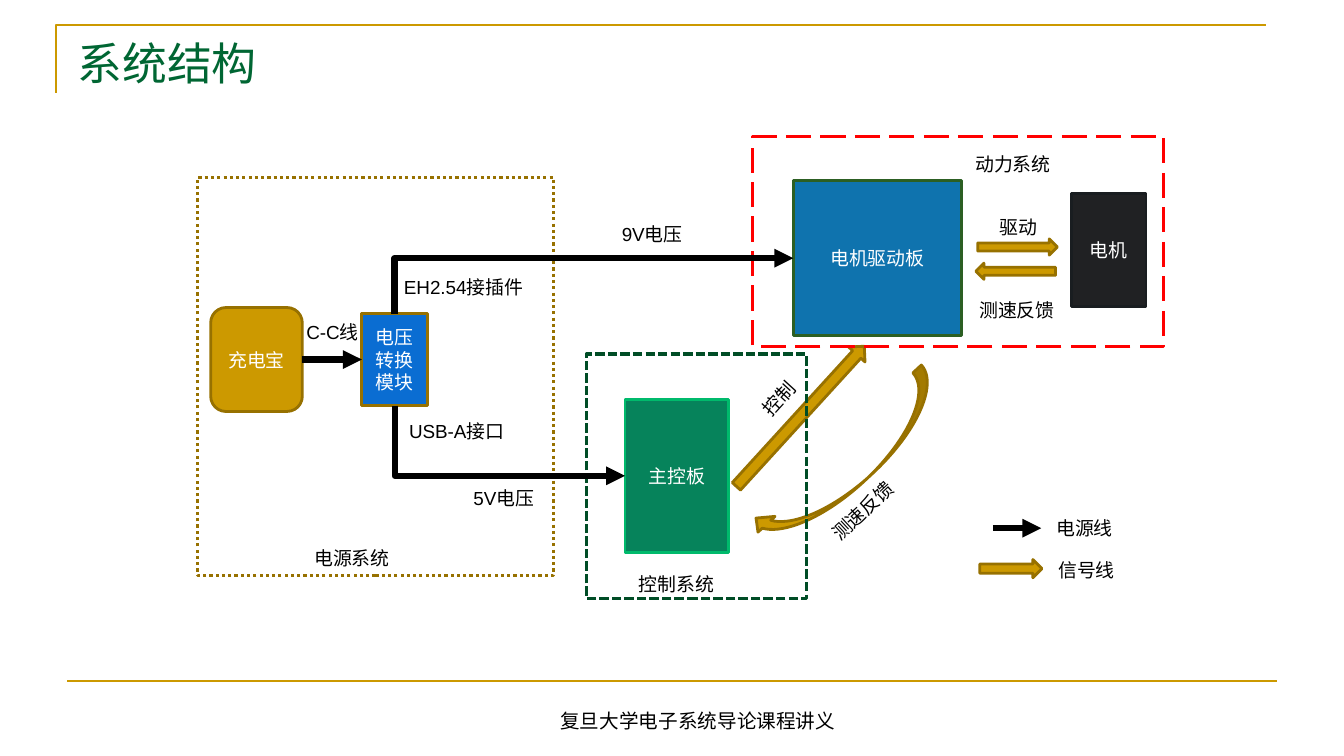
from lxml.etree import SubElement
from pptx import Presentation
from pptx.dml.color import RGBColor
from pptx.enum.dml import MSO_LINE
from pptx.enum.shapes import MSO_CONNECTOR, MSO_SHAPE
from pptx.enum.text import MSO_ANCHOR, PP_ALIGN
from pptx.oxml.ns import qn
from pptx.util import Cm, Pt

GOLD, BROWN, BLACK, WHITE = "CC9900", "977100", "000000", "FFFFFF"


def tint(color, code):
    color.rgb = RGBColor.from_string(code)


def write(frame, text, size, code, align=PP_ALIGN.LEFT, face="Arial"):
    frame.word_wrap = True
    para = frame.paragraphs[0]
    para.text = text
    para.alignment = align
    for run in para.runs:
        run.font.size = Pt(size)
        run.font.name = face
        tint(run.font.color, code)


def label(slide, text, x, y, wide, turn=0, size=13.5, align=PP_ALIGN.LEFT):
    box = slide.shapes.add_textbox(Cm(x), Cm(y), Cm(wide), Cm(0.84))
    box.rotation = turn
    write(box.text_frame, text, size, BLACK, align)


def shape(slide, kind, x, y, wide, high, edge, fill=None, weight=2):
    item = slide.shapes.add_shape(kind, Cm(x), Cm(y), Cm(wide), Cm(high))
    item.shadow.inherit = False
    if fill:
        item.fill.solid()
        tint(item.fill.fore_color, fill)
    else:
        item.fill.background()
    tint(item.line.color, edge)
    item.line.width = Pt(weight)
    return item


def block(slide, text, x, y, wide, high, fill, edge, kind=MSO_SHAPE.RECTANGLE):
    item = shape(slide, kind, x, y, wide, high, edge, fill)
    item.text_frame.vertical_anchor = MSO_ANCHOR.MIDDLE
    write(item.text_frame, text, 13.5, WHITE, PP_ALIGN.CENTER)
    return item


def arrow(slide, x, y, wide, high, turn=0, kind=MSO_SHAPE.RIGHT_ARROW):
    shape(slide, kind, x, y, wide, high, BROWN, GOLD).rotation = turn


def zone(slide, x, y, wide, high, edge, dash):
    item = shape(slide, MSO_SHAPE.RECTANGLE, x, y, wide, high, edge, weight=2.25)
    item.line.dash_style = dash


def line(slide, x1, y1, x2, y2, code=BLACK, weight=4.5, head=True,
         kind=MSO_CONNECTOR.STRAIGHT):
    item = slide.shapes.add_connector(kind, Cm(x1), Cm(y1), Cm(x2), Cm(y2))
    tint(item.line.color, code)
    item.line.width = Pt(weight)
    if head:
        SubElement(item.line._get_or_add_ln(), qn("a:tailEnd"), type="triangle")
    SubElement(item._element.spPr, qn("a:effectLst"))
    return item


def join(link, start, side, end):
    link.begin_connect(start, side)
    link.end_connect(end, 1)


def elbow(slide, start, side, end):
    """Leave a top (0) or bottom (2) side, turn once, enter a left side."""
    link = line(slide, 0, 0, 1, 1, kind=MSO_CONNECTOR.ELBOW)
    join(link, start, side, end)
    x1, x2 = start.left + start.width // 2, end.left
    y1 = start.top + (start.height if side == 2 else 0)
    y2 = end.top + end.height // 2
    # The one-turn preset is stored a quarter turn round its centre
    wide, high = abs(y2 - y1), x2 - x1
    link.left, link.top = (x1 + x2 - wide) // 2, (y1 + y2 - high) // 2
    link.width, link.height = wide, high
    props = link._element.spPr
    props.find(qn("a:prstGeom")).set("prst", "bentConnector2")
    frame = props.find(qn("a:xfrm"))
    frame.set("rot", str(270 * 60000))
    frame.set("flipH", "1" if y2 > y1 else "0")
    frame.set("flipV", "0")


def frame(slide):
    # Corner rule, bottom rule and footer
    pen = slide.shapes.build_freeform(Cm(1.42), Cm(2.34))
    pen.add_line_segments([(Cm(1.42), Cm(0.64)), (Cm(31.9), Cm(0.64))], close=False)
    edge = pen.convert_to_shape()
    edge.shadow.inherit = False
    edge.fill.background()
    tint(edge.line.color, GOLD)
    edge.line.width = Pt(1.5)
    line(slide, 1.7, 17.15, 32.18, 17.15, GOLD, 1.5, head=False)
    label(slide, "复旦大学电子系统导论课程讲义", 3.33, 17.73, 28.52,
          size=14, align=PP_ALIGN.CENTER)
    # Title
    title = slide.shapes.title
    title.left, title.top, title.width, title.height = (
        Cm(1.7), Cm(0.76), Cm(30.48), Cm(2.36))
    title.text_frame.vertical_anchor = MSO_ANCHOR.TOP
    write(title.text_frame, "系统结构", 32, "006633", face="Times New Roman")


def main():
    deck = Presentation()
    deck.slide_width, deck.slide_height = Cm(33.87), Cm(19.05)
    slide = deck.slides.add_slide(deck.slide_layouts[5])
    frame(slide)

    # Modules
    bank = block(slide, "充电宝", 5.31, 7.75, 2.31, 2.62, GOLD, BROWN,
                 MSO_SHAPE.ROUNDED_RECTANGLE)
    volt = block(slide, "电压转换模块", 9.12, 7.9, 1.65, 2.32, "0A6DD2", BROWN)
    host = block(slide, "主控板", 15.75, 10.06, 2.62, 3.86, "06835B", "00BA6C")
    drive = block(slide, "电机驱动板", 19.99, 4.55, 4.24, 3.91, "0F73AE", "2C5F23")
    block(slide, "电机", 27, 4.88, 1.88, 2.84, "202123", "191D20")

    # Signal arrows
    arrow(slide, 17.78, 10.21, 4.78, 0.56, 312.4)
    arrow(slide, 24.64, 6.02, 2.01, 0.41)
    arrow(slide, 24.59, 6.63, 2.01, 0.41, 180)
    arrow(slide, 18.44, 11.07, 5.97, 1.17, 137.2, MSO_SHAPE.CURVED_DOWN_ARROW)

    # System zones
    zone(slide, 4.98, 4.47, 8.97, 10.03, BROWN, MSO_LINE.ROUND_DOT)
    zone(slide, 14.78, 8.92, 5.54, 6.17, "004D26", MSO_LINE.SQUARE_DOT)
    zone(slide, 18.97, 3.45, 10.36, 5.28, "FF0000", MSO_LINE.LONG_DASH)

    # Power lines
    join(line(slide, 7.62, 9.06, 9.12, 9.06), bank, 3, volt)
    elbow(slide, volt, 2, host)
    elbow(slide, volt, 0, drive)

    # Legend keys
    line(slide, 25.02, 13.31, 26.24, 13.31)
    arrow(slide, 24.69, 14.1, 1.57, 0.46)

    # Labels: text, left, top, width, turn
    for item in (
        ("EH2.54接插件", 9.93, 6.81, 4.01),
        ("5V电压", 11.68, 12.14, 2.62),
        ("控制", 18.9, 9.6, 1.52, 312.4),
        ("驱动", 24.94, 5.31, 1.52),
        ("测速反馈", 20.5, 12.34, 2.74, 317.2),
        ("测速反馈", 24.43, 7.39, 2.74),
        ("电源线", 26.37, 12.9, 2.74),
        ("信号线", 26.42, 13.94, 2.74),
        ("电源系统", 7.67, 13.64, 3.4),
        ("控制系统", 15.85, 14.3, 3.4),
        ("动力系统", 24.33, 3.73, 3.4),
        ("C-C线", 7.47, 7.95, 2.1),
        ("9V电压", 15.42, 5.49, 3.4),
        ("USB-A接口", 10.06, 10.44, 3.4),
    ):
        label(slide, *item)

    deck.save("out.pptx")


if __name__ == "__main__":
    main()
